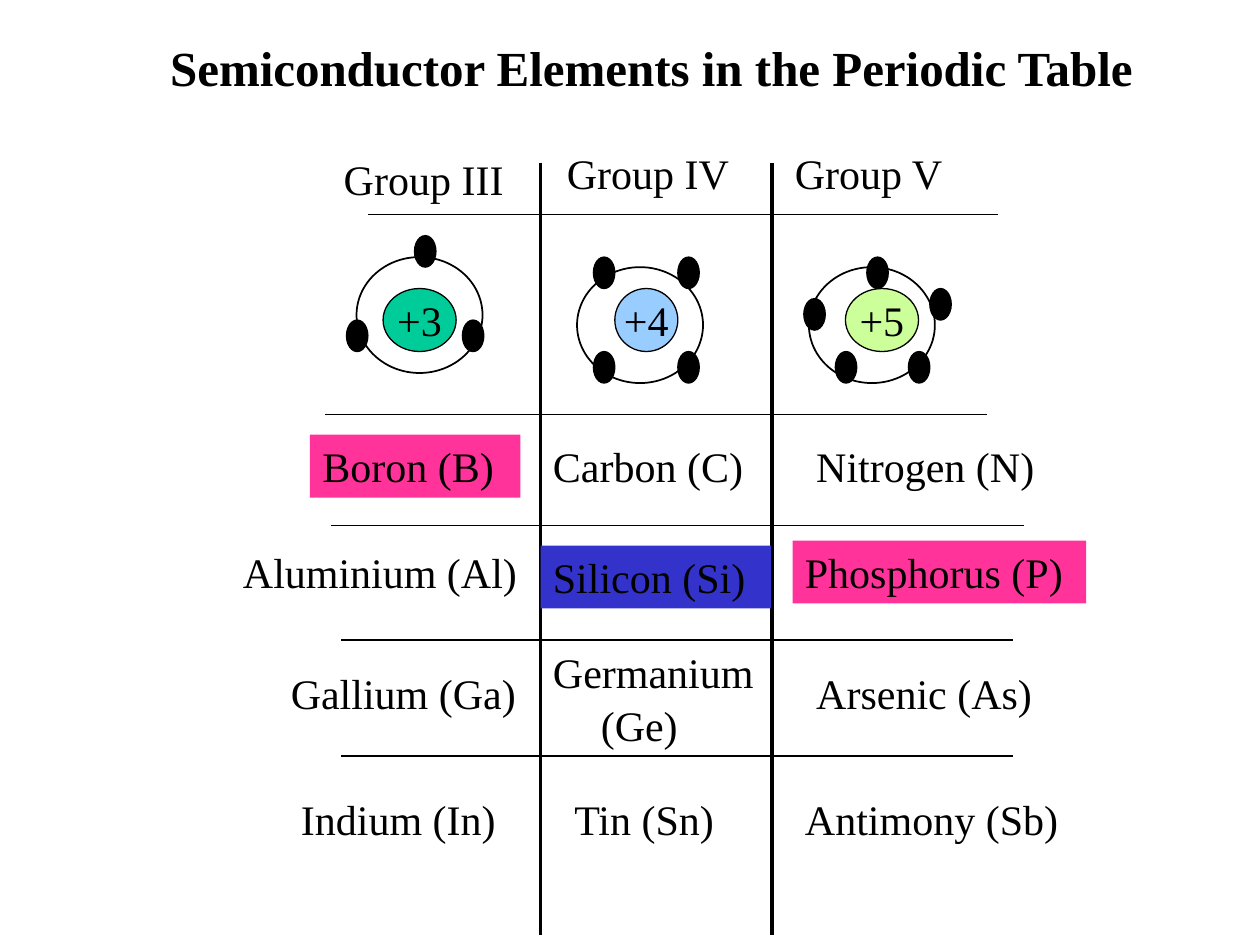
import pptx
import pptx.util
import pptx.dml.color
import pptx.enum.shapes
import pptx.enum.text
import lxml.etree
from pptx.util import Inches

BLACK = pptx.dml.color.RGBColor(0x00, 0x00, 0x00)
PINK = pptx.dml.color.RGBColor(0xFF, 0x33, 0x99)
BLUE = pptx.dml.color.RGBColor(0x33, 0x33, 0xCC)
GREEN = pptx.dml.color.RGBColor(0x00, 0xCC, 0x99)
SKY = pptx.dml.color.RGBColor(0x99, 0xCC, 0xFF)
LIME = pptx.dml.color.RGBColor(0xCC, 0xFF, 0x99)
DRAWING_NS = "http://schemas.openxmlformats.org/drawingml/2006/main"


class PeriodicSlide:
    font = "Times New Roman"
    size = 24
    row_height = 0.5

    def __init__(self, deck):
        self.slide = deck.slides.add_slide(deck.slide_layouts[5])

    def add_text(self, frame, text, size=size, bold=False, align=pptx.enum.text.PP_ALIGN.LEFT):
        paragraph = frame.paragraphs[0]
        paragraph.alignment = align
        run = paragraph.add_run()
        run.text = text
        run.font.name = self.font
        run.font.size = pptx.util.Pt(size)
        run.font.bold = bold
        run.font.color.rgb = BLACK

    def title(self, text, left, top, width, height):
        heading = self.slide.shapes.title
        heading.left, heading.top = Inches(left), Inches(top)
        heading.width, heading.height = Inches(width), Inches(height)
        frame = heading.text_frame
        frame.word_wrap = True
        frame.auto_size = pptx.enum.text.MSO_AUTO_SIZE.NONE
        frame.vertical_anchor = pptx.enum.text.MSO_ANCHOR.TOP
        self.add_text(frame, text, 28, True)

    def label(self, text, left, top, width, fill=None, wrap=True):
        box = self.slide.shapes.add_textbox(
            Inches(left), Inches(top), Inches(width), Inches(self.row_height))
        box.text_frame.word_wrap = wrap
        if fill is not None:
            box.fill.solid()
            box.fill.fore_color.rgb = fill
        self.add_text(box.text_frame, text)

    def line(self, x1, y1, x2, y2, weight=0.75):
        rule = self.slide.shapes.add_connector(
            pptx.enum.shapes.MSO_CONNECTOR.STRAIGHT,
            Inches(x1), Inches(y1), Inches(x2), Inches(y2))
        rule.line.color.rgb = BLACK
        rule.line.width = pptx.util.Pt(weight)
        lxml.etree.SubElement(rule._element.spPr, f"{{{DRAWING_NS}}}effectLst")

    def ellipse(self, left, top, width, height, fill=None, weight=0.75, text=None):
        oval = self.slide.shapes.add_shape(
            pptx.enum.shapes.MSO_SHAPE.OVAL,
            Inches(left), Inches(top), Inches(width), Inches(height))
        oval.shadow.inherit = False
        if fill is None:
            oval.fill.background()
        else:
            oval.fill.solid()
            oval.fill.fore_color.rgb = fill
        oval.line.color.rgb = BLACK
        oval.line.width = pptx.util.Pt(weight)
        if text:
            oval.text_frame.word_wrap = False
            oval.text_frame.vertical_anchor = pptx.enum.text.MSO_ANCHOR.MIDDLE
            self.add_text(oval.text_frame, text, align=pptx.enum.text.PP_ALIGN.CENTER)

    def atom(self, charge, shell, nucleus, color, electrons):
        self.ellipse(*shell, 1, 0.92, weight=1)
        left, width = nucleus
        self.ellipse(left, 2.29, width, 0.5, color, text=charge)
        for x, y in electrons:
            self.ellipse(x, y, 0.17, 0.25, BLACK)


def main():
    deck = pptx.Presentation()
    deck.slide_width, deck.slide_height = Inches(10), Inches(7.5)
    page = PeriodicSlide(deck)
    page.title("Semiconductor Elements in the Periodic Table", 1.25, 0.25, 7.92, 0.57)

    for top, bottom in [(1.29, 5.54), (5.42, 7.42)]:
        for x in (4.29, 6.13):
            page.line(x, top, x, bottom, 2.25)
    for left, right, y in [(2.92, 7.92, 1.7), (2.58, 7.83, 3.29), (2.63, 8.13, 4.17),
                           (2.71, 8.04, 5.08), (2.71, 8.04, 6)]:
        page.line(left, y, right, y)

    page.atom("+3", (2.83, 2.04), (3.04, 0.58), GREEN,
              [(3.29, 1.87), (2.75, 2.54), (3.67, 2.54)])
    page.atom("+4", (4.58, 2.12), (4.88, 0.5), SKY,
              [(x, y) for y in (2.04, 2.79) for x in (4.71, 5.38)])
    page.atom("+5", (6.42, 2.12), (6.71, 0.58), LIME,
              [(6.88, 2.04), (7.38, 2.29), (6.38, 2.37), (7.21, 2.79), (6.63, 2.79)])

    for heading, left, top, width, wrap in [
            ("Group III", 2.63, 1.17, 1.47, False),
            ("Group IV", 4.4, 1.12, 1.65, True),
            ("Group V", 6.21, 1.12, 1.37, False)]:
        page.label(heading, left, top, width, wrap=wrap)

    for element, left, top, width, fill in [
            ("Boron (B)", 2.46, 3.45, 1.67, PINK),
            ("Carbon (C)", 4.29, 3.45, 1.75, None),
            ("Nitrogen (N)", 6.38, 3.45, 2, None),
            ("Aluminium (Al)", 1.83, 4.29, 2.4, None),
            ("Silicon (Si)", 4.29, 4.33, 1.83, BLUE),
            ("Phosphorus (P)", 6.29, 4.29, 2.33, PINK),
            ("Gallium (Ga)", 2.21, 5.25, 2.17, None),
            ("Germanium", 4.29, 5.08, 2.08, None),
            ("(Ge)", 4.67, 5.5, 0.92, None),
            ("Arsenic (As)", 6.38, 5.25, 2.33, None),
            ("Indium (In)", 2.29, 6.25, 1.75, None),
            ("Tin (Sn)", 4.46, 6.25, 1.5, None),
            ("Antimony (Sb)", 6.29, 6.25, 2.25, None)]:
        page.label(element, left, top, width, fill)

    deck.save("out.pptx")


if __name__ == "__main__":
    main()
